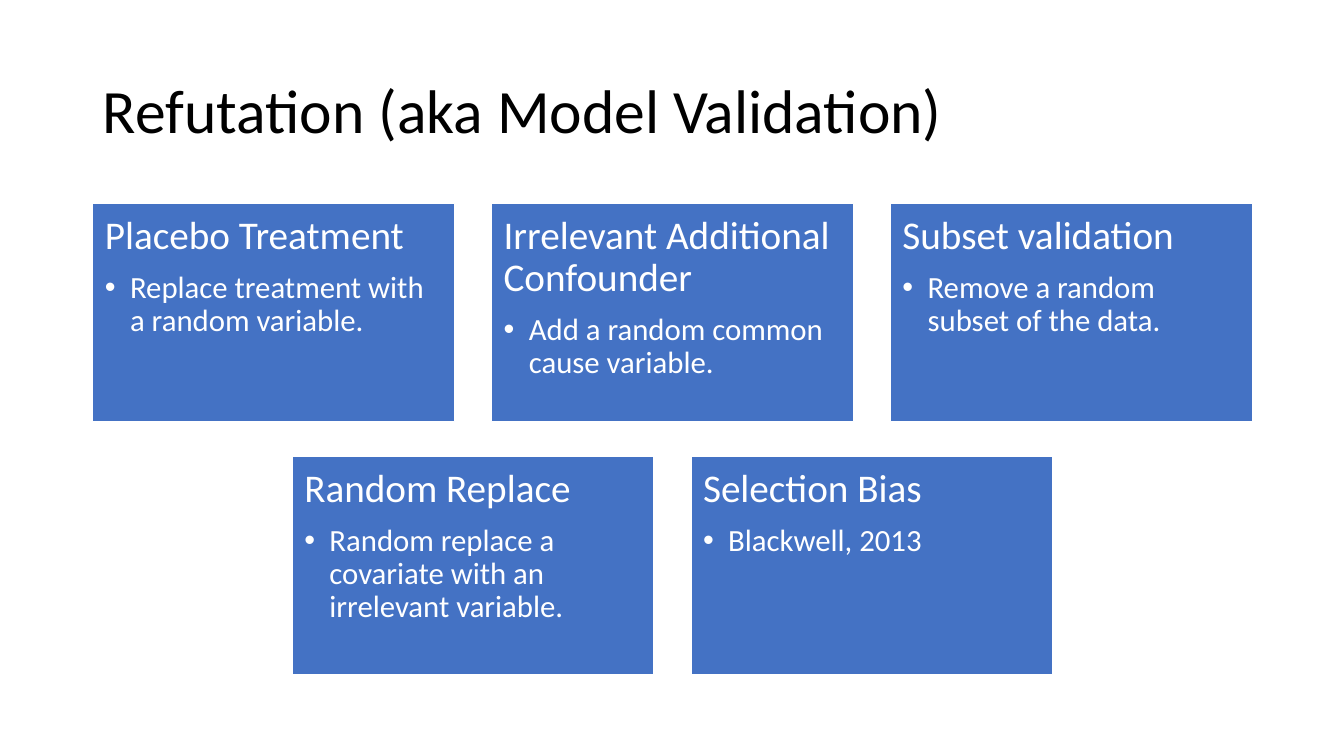
from lxml import etree
from pptx import Presentation
from pptx.dml.color import RGBColor
from pptx.enum import shapes, text
from pptx.oxml.ns import qn
from pptx.util import Inches, Pt

TITLE = "Refutation (aka Model Validation)"
CARD_ROWS = [
    [
        ("Placebo Treatment", "Replace treatment with a random variable."),
        ("Irrelevant Additional Confounder", "Add a random common cause variable."),
        ("Subset validation", "Remove a random subset of the data."),
    ],
    [
        ("Random Replace", "Random replace a covariate with an irrelevant variable."),
        ("Selection Bias", "Blackwell, 2013"),
    ],
]
COLORS = {"card": "4472C4", "card_text": "FFFFFF", "title": "000000"}
FONT = "Calibri"
CONTENT_LEFT, CONTENT_WIDTH = 0.92, 11.5
CARDS_TOP = 2.02
CARD_WIDTH, CARD_HEIGHT = 3.59, 2.16
COLUMN_STEP, ROW_STEP = 3.955, 2.51


def color(name):
    return RGBColor.from_string(COLORS[name])


def format_paragraph(paragraph, size, color_name, space_after=0):
    paragraph.alignment = text.PP_ALIGN.LEFT
    paragraph.line_spacing = 0.9
    paragraph.space_after = Pt(space_after)
    paragraph.font.name = FONT
    paragraph.font.size = Pt(size)
    paragraph.font.color.rgb = color(color_name)


def add_bullet(paragraph, indent):
    properties = paragraph._p.get_or_add_pPr()
    properties.set("marL", str(Inches(indent)))
    properties.set("indent", str(-Inches(indent)))
    etree.SubElement(properties, qn("a:buFont")).set("typeface", "Arial")
    etree.SubElement(properties, qn("a:buChar")).set("char", "•")


def add_card(slide, left, top, heading, detail):
    card = slide.shapes.add_shape(
        shapes.MSO_SHAPE.RECTANGLE,
        Inches(left), Inches(top), Inches(CARD_WIDTH), Inches(CARD_HEIGHT),
    )
    card.shadow.inherit = False
    card.fill.solid()
    card.fill.fore_color.rgb = color("card")
    card.line.color.rgb = color("card_text")
    card.line.width = Pt(1)

    frame = card.text_frame
    frame.word_wrap = True
    frame.vertical_anchor = text.MSO_ANCHOR.TOP
    frame.margin_left = frame.margin_right = Inches(0.12)
    frame.margin_top = frame.margin_bottom = Inches(0.12)

    heading_paragraph = frame.paragraphs[0]
    heading_paragraph.text = heading
    format_paragraph(heading_paragraph, 28, "card_text", space_after=9.8)

    detail_paragraph = frame.add_paragraph()
    detail_paragraph.text = detail
    detail_paragraph.level = 1
    add_bullet(detail_paragraph, 0.25)
    format_paragraph(detail_paragraph, 22, "card_text", space_after=3.3)


def main():
    presentation = Presentation()
    presentation.slide_width = Inches(13.33)
    presentation.slide_height = Inches(7.5)
    slide = presentation.slides.add_slide(presentation.slide_layouts[5])

    title = slide.shapes.title
    title.left, title.top = Inches(CONTENT_LEFT), Inches(0.4)
    title.width, title.height = Inches(CONTENT_WIDTH), Inches(1.45)
    title.text_frame.text = TITLE
    title.text_frame.word_wrap = True
    title.text_frame.vertical_anchor = text.MSO_ANCHOR.MIDDLE
    format_paragraph(title.text_frame.paragraphs[0], 44, "title")

    for row, cards in enumerate(CARD_ROWS):
        row_width = (len(cards) - 1) * COLUMN_STEP + CARD_WIDTH
        row_left = CONTENT_LEFT + (CONTENT_WIDTH - row_width) / 2
        for column, (heading, detail) in enumerate(cards):
            add_card(slide, row_left + column * COLUMN_STEP,
                     CARDS_TOP + row * ROW_STEP, heading, detail)

    presentation.save("out.pptx")


if __name__ == "__main__":
    main()
